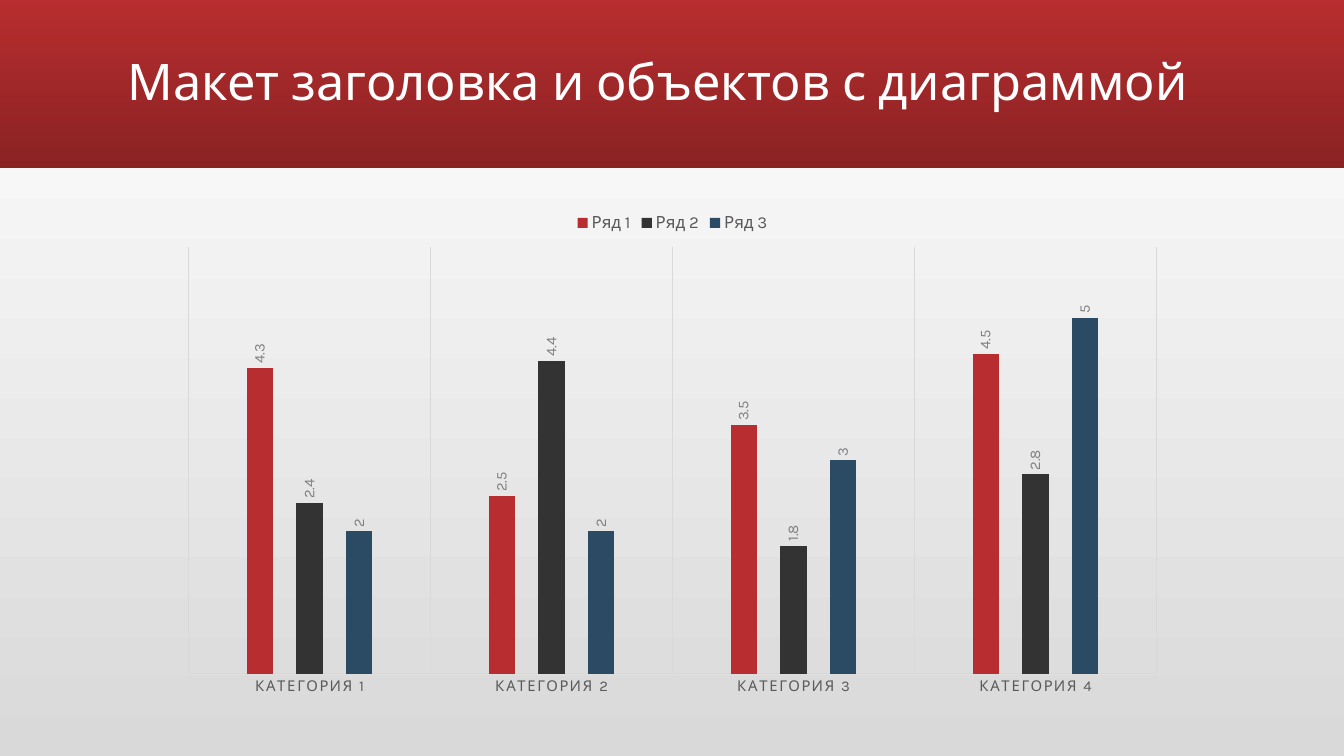
from dataclasses import dataclass

from pptx import Presentation
from pptx.chart.data import CategoryChartData
from pptx.dml.color import RGBColor
from pptx.enum.chart import XL_CHART_TYPE, XL_LABEL_POSITION, XL_LEGEND_POSITION, XL_TICK_MARK
from pptx.enum.shapes import MSO_SHAPE
from pptx.enum.text import MSO_ANCHOR
from pptx.oxml.ns import qn
from pptx.util import Inches, Pt

COLUMNS = XL_CHART_TYPE.COLUMN_CLUSTERED
OUTSIDE_END = XL_LABEL_POSITION.OUTSIDE_END
LEGEND_TOP = XL_LEGEND_POSITION.TOP
NO_TICKS = XL_TICK_MARK.NONE
RECTANGLE = MSO_SHAPE.RECTANGLE
MIDDLE = MSO_ANCHOR.MIDDLE

CATEGORIES = [f"КАТЕГОРИЯ {number}" for number in range(1, 5)]
SERIES = {
    "Ряд 1": (4.3, 2.5, 3.5, 4.5),
    "Ряд 2": (2.4, 4.4, 1.8, 2.8),
    "Ряд 3": (2, 2, 3, 5),
}


@dataclass(frozen=True)
class Theme:
    font: str = "Karla"
    background: tuple = ("D9D9D9", "FFFFFF")
    banner: tuple = ("B82D2F", "8A2223")
    series: tuple = ("B82D2F", "333333", "2B4A63")
    title: str = "FFFFFF"
    text: str = "595959"
    label: str = "808080"
    grid: str = "D9D9D9"
    chart: str = "000000"
    title_size: float = 36
    legend_size: float = 12
    axis_size: float = 10.6
    chart_size: float = 10


class SlideBuilder:
    def __init__(self, slide, theme):
        self.slide = slide
        self.theme = theme

    def style_font(self, font, size, color):
        font.name = self.theme.font
        font.size = Pt(size)
        font.color.rgb = RGBColor.from_string(color)

    def gradient(self, fill, colors, angle):
        fill.gradient()
        fill.gradient_angle = angle
        for stop, color in zip(fill.gradient_stops, colors):
            stop.color.rgb = RGBColor.from_string(color)

    def background(self):
        self.gradient(self.slide.background.fill, self.theme.background, 90)

    def banner(self, left, top, width, height):
        shape = self.slide.shapes.add_shape(
            RECTANGLE, Inches(left), Inches(top), Inches(width), Inches(height))
        shape.shadow.inherit = False
        shape.line.fill.background()
        self.gradient(shape.fill, self.theme.banner, 270)

    def title(self, text, left, top, width, height):
        box = self.slide.shapes.add_textbox(
            Inches(left), Inches(top), Inches(width), Inches(height))
        frame = box.text_frame
        frame.word_wrap = True
        frame.vertical_anchor = MIDDLE
        frame.text = text
        paragraph = frame.paragraphs[0]
        paragraph.line_spacing = 0.9
        self.style_font(paragraph.runs[0].font, self.theme.title_size, self.theme.title)

    def column_chart(self, left, top, width, height):
        data = CategoryChartData()
        data.categories = CATEGORIES
        for name, values in SERIES.items():
            data.add_series(name, values)
        chart = self.slide.shapes.add_chart(
            COLUMNS, Inches(left), Inches(top), Inches(width), Inches(height), data).chart
        chart.has_title = False
        self.style_font(chart.font, self.theme.chart_size, self.theme.chart)
        chart.has_legend = True
        chart.legend.position = LEGEND_TOP
        chart.legend.include_in_layout = False
        self.style_font(chart.legend.font, self.theme.legend_size, self.theme.text)
        plot = chart.plots[0]
        plot.gap_width = 444
        plot.overlap = -90
        plot.vary_by_categories = False
        for series, color in zip(plot.series, self.theme.series):
            self.column_series(series, color)
        self.axes(chart)

    def column_series(self, series, color):
        series.format.fill.solid()
        series.format.fill.fore_color.rgb = RGBColor.from_string(color)
        labels = series.data_labels
        labels.show_value = True
        labels.position = OUTSIDE_END
        self.style_font(labels.font, self.theme.axis_size, self.theme.label)
        body = labels._element.find(qn("c:txPr")).find(qn("a:bodyPr"))
        body.set("rot", "-5400000")
        body.set("vert", "horz")

    def axes(self, chart):
        value_axis = chart.value_axis
        value_axis.visible = False
        value_axis.has_major_gridlines = False
        value_axis.minimum_scale = 0
        value_axis.maximum_scale = 6
        axis = chart.category_axis
        axis.major_tick_mark = NO_TICKS
        axis.minor_tick_mark = NO_TICKS
        axis.has_major_gridlines = True
        for line in (axis.format.line, axis.major_gridlines.format.line):
            line.color.rgb = RGBColor.from_string(self.theme.grid)
            line.width = Pt(0.75)
        font = axis.tick_labels.font
        self.style_font(font, self.theme.axis_size, self.theme.text)
        font._element.set("spc", "120")


def main():
    presentation = Presentation()
    presentation.slide_width = Inches(13.33)
    presentation.slide_height = Inches(7.5)
    slide = presentation.slides.add_slide(presentation.slide_layouts[6])
    builder = SlideBuilder(slide, Theme())
    builder.background()
    builder.banner(0, 0, 13.33, 1.67)
    builder.title("Макет заголовка и объектов с диаграммой", 1.17, 0.11, 11, 1.45)
    builder.column_chart(1.67, 2, 10, 5)
    presentation.save("out.pptx")


if __name__ == "__main__":
    main()
